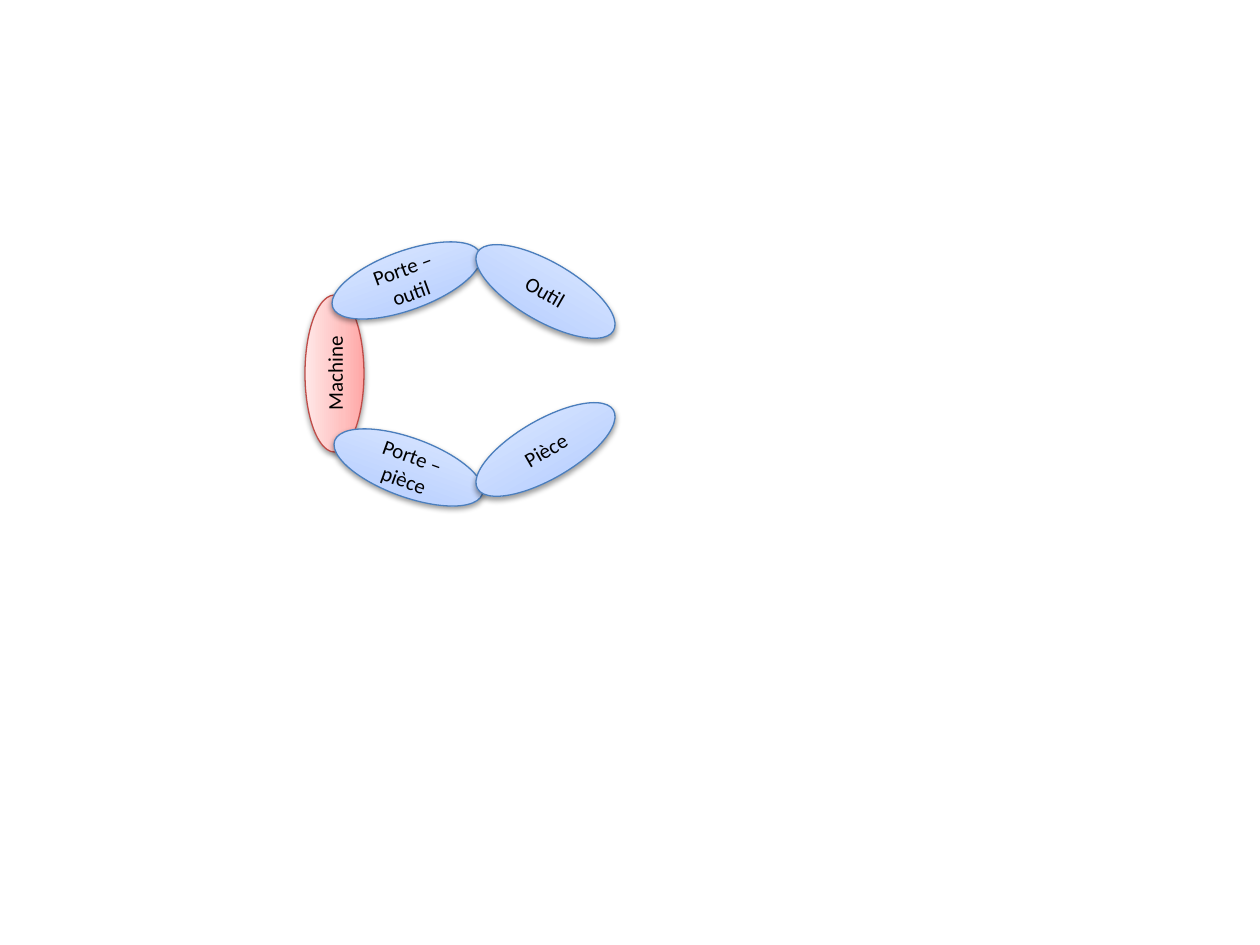
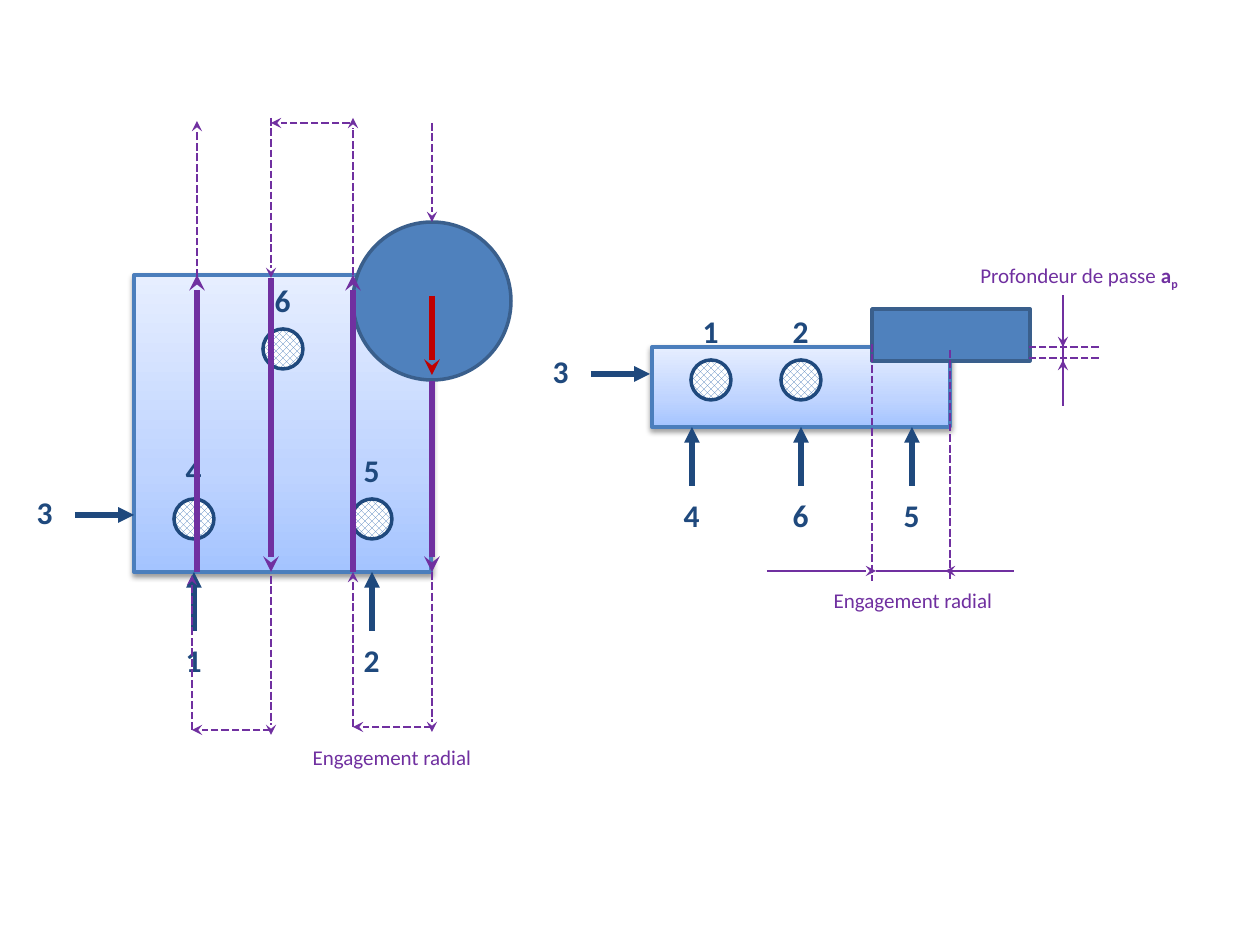
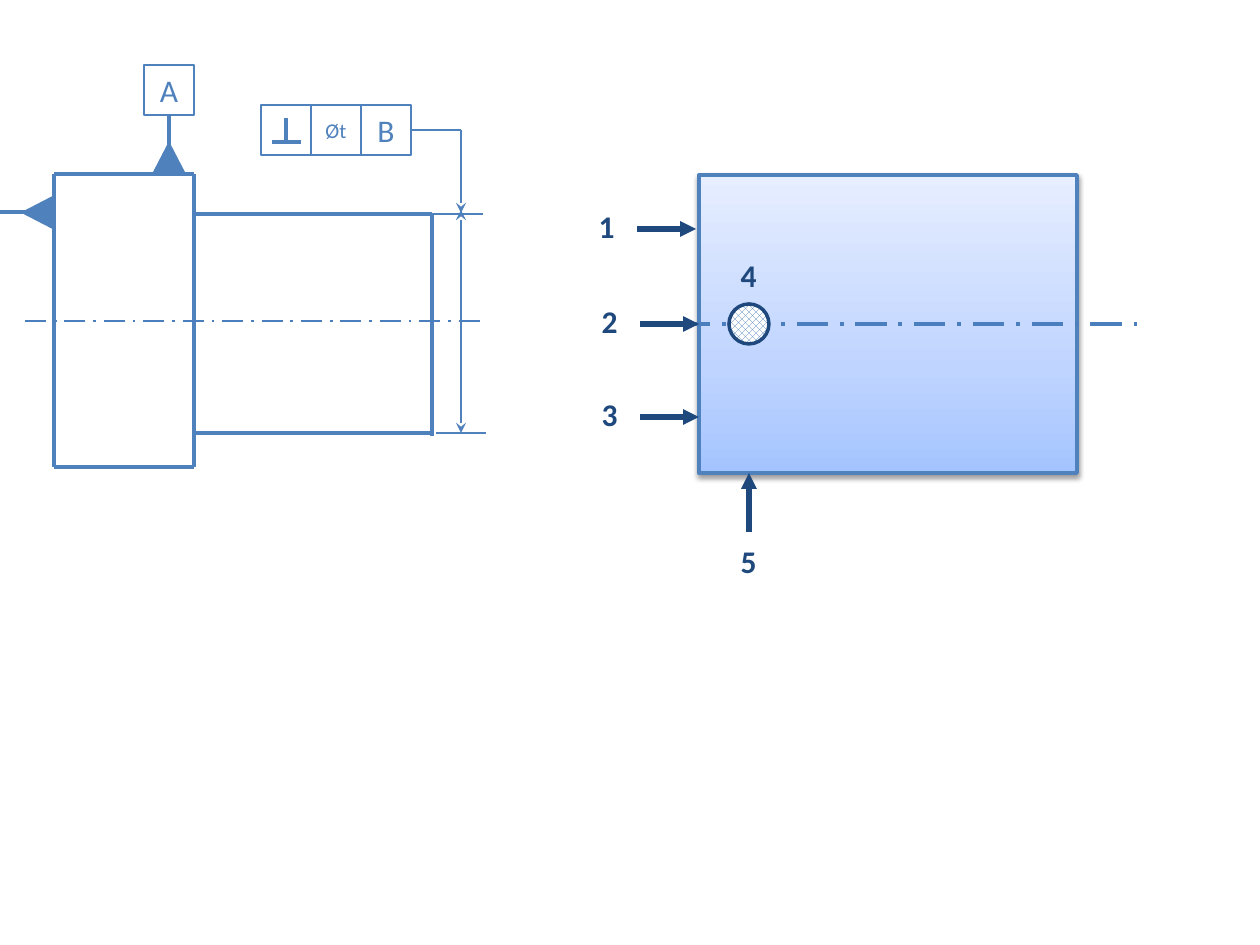
"""Build three machining diagrams: the compliance loop, the milling set-up and the turned part."""
from copy import deepcopy

from lxml import etree
from pptx import Presentation
from pptx.dml.color import RGBColor
from pptx.enum.dml import MSO_LINE, MSO_PATTERN
from pptx.enum.shapes import MSO_CONNECTOR, MSO_SHAPE
from pptx.enum.text import MSO_ANCHOR, MSO_AUTO_SIZE, PP_ALIGN
from pptx.oxml.ns import qn
from pptx.util import Pt

PX = 914400 / 126
OVAL, RECT, TRIANGLE = MSO_SHAPE.OVAL, MSO_SHAPE.RECTANGLE, MSO_SHAPE.ISOSCELES_TRIANGLE
STRAIGHT = MSO_CONNECTOR.STRAIGHT
DASH, AXIS = MSO_LINE.SQUARE_DOT, MSO_LINE.LONG_DASH_DOT
HATCH = MSO_PATTERN.OUTLINED_DIAMOND
CENTER, LEFT = PP_ALIGN.CENTER, PP_ALIGN.LEFT
MIDDLE, GROW = MSO_ANCHOR.MIDDLE, MSO_AUTO_SIZE.SHAPE_TO_FIT_TEXT

COLORS = {
    "black": "000000", "white": "FFFFFF", "blue": "4F81BD", "edge": "4B7EBC",
    "tool_edge": "3A5F8C", "navy": "1F497D", "purple": "7030A0", "red": "C00000",
    "red_edge": "BF4C48",
}
GRADIENTS = {
    "sky": ("A4C4FF", "BFD4FF", "E6EEFF"),
    "rose": ("FFA6A5", "FFC0BF", "FFE7E7"),
}
SHAPES = {
    "machine": ("rose", "red_edge", 0.75),
    "link": ("sky", "edge", 0.75),
    "workpiece": ("sky", "edge", 2.25),
    "stock": ("sky", "blue", 2.25),
    "disc": ("hatch", "navy", 2),
    "tool": ("blue", "tool_edge", 2),
    "datum": ("blue", "blue", 2),
    "frame": (None, "blue", 1.5),
}
LINES = {
    "locator": ("navy", 3, None),
    "cut": ("purple", 3, None),
    "rapid": ("purple", 1.5, DASH),
    "dimension": ("purple", 1.5, None),
    "feed": ("red", 3, None),
    "outline": ("blue", 2.25, None),
    "thin": ("blue", 1, None),
    "axis": ("edge", 1.5, AXIS),
    "stock_axis": ("edge", 2.25, AXIS),
}
TEXTS = {
    "link": ("black", {"size": Pt(12)}),
    "mark": ("navy", {"size": Pt(18), "bold": True}),
    "note": ("purple", {"size": Pt(12)}),
    "note_bold": ("purple", {"size": Pt(12), "bold": True}),
    "letter": ("blue", {"size": Pt(18)}),
    "tolerance": ("blue", {"size": Pt(12)}),
}


def put(s, kind, box, style=None, runs=(), rot=0):
    """Add a preset shape, or a text box when kind is None."""
    x, y, w, h = (round(v * PX) for v in box)
    if kind is None:
        sp = s.shapes.add_textbox(x, y, w, h)
        frame = {"word_wrap": True, "auto_size": GROW}
    else:
        sp = s.shapes.add_shape(kind, x, y, w, h)
        frame = {"word_wrap": True, "vertical_anchor": MIDDLE}
        sp.rotation = rot
        sp.shadow.inherit = False
        fill, edge, width = SHAPES[style]
        sp.line.color.rgb = RGBColor.from_string(COLORS[edge])
        sp.line.width = Pt(width)
        if fill in GRADIENTS:
            sp.fill.gradient()
            sp.fill.gradient_angle = 90
            spPr = sp._element.spPr
            stops = spPr.find(".//" + qn("a:gsLst"))
            stops.insert(1, deepcopy(stops[0]))
            for stop, pos, c in zip(sp.fill.gradient_stops, (0, 0.35, 1), GRADIENTS[fill]):
                stop.position = pos
                stop.color.rgb = RGBColor.from_string(c)
            shadow = etree.SubElement(spPr.find(qn("a:effectLst")), qn("a:outerShdw"),
                                      blurRad="40000", dist="20000", dir="5400000", rotWithShape="0")
            c = etree.SubElement(shadow, qn("a:srgbClr"), val=COLORS["black"])
            etree.SubElement(c, qn("a:alpha"), val="38000")
        elif fill == "hatch":
            sp.fill.patterned()
            sp.fill.pattern = HATCH
            sp.fill.fore_color.rgb = RGBColor.from_string(COLORS["blue"])
            sp.fill.back_color.rgb = RGBColor.from_string(COLORS["white"])
        elif fill:
            sp.fill.solid()
            sp.fill.fore_color.rgb = RGBColor.from_string(COLORS[fill])
        else:
            sp.fill.background()
    if runs:
        tf = sp.text_frame
        for key, val in frame.items():
            setattr(tf, key, val)
        p = tf.paragraphs[0]
        p.alignment = CENTER
        for text, name in runs:
            color, fmt = TEXTS[name]
            r = p.add_run()
            r.text = text
            r.font.color.rgb = RGBColor.from_string(COLORS[color])
            for key, val in {"name": "Calibri", **fmt}.items():
                setattr(r.font, key, val)
    return sp


def draw(s, ends, style, head=None, tail=None):
    """Add a straight connector with optional arrowheads."""
    c = s.shapes.add_connector(STRAIGHT, *(round(v * PX) for v in ends))
    color, width, dash = LINES[style]
    c.line.color.rgb = RGBColor.from_string(COLORS[color])
    c.line.width = Pt(width)
    if dash:
        c.line.dash_style = dash
    spPr = c._element.spPr
    for tag, arrow in (("a:headEnd", head), ("a:tailEnd", tail)):
        if arrow:
            etree.SubElement(spPr.find(qn("a:ln")), qn(tag), type=arrow)
    etree.SubElement(spPr, qn("a:effectLst"))
    return c


prs = Presentation()
prs.slide_width, prs.slide_height = round(1260 * PX), round(945 * PX)
loop, milling, turning = (prs.slides.add_slide(prs.slide_layouts[6]) for _ in range(3))

for text, style, x, y, rot in (
    ("Machine", "machine", 256, 344, 270),
    ("Porte – outil", "link", 328, 251, 340),
    ("Outil", "link", 467, 262, 30),
    ("Porte – pièce", "link", 330, 438, 20),
    ("Pièce", "link", 467, 420, 330),
):
    put(loop, OVAL, (x, y, 157, 59), style, [(text, "link")], rot)

VIEWS = (
    (milling, (134, 275, 297, 297), "workpiece", (), (
        ("up", 194, 572, "1"), ("right", 134, 515, "3"), ("up", 372, 572, "2"),
        ("disc", 194, 519, "4"), ("disc", 372, 519, "5"), ("disc", 283, 349, "6"))),
    (milling, (652, 347, 298, 80), "workpiece", (), (
        ("up", 692, 427, "4"), ("up", 801, 427, "6"), ("up", 912, 427, "5"),
        ("right", 650, 374, "3"), ("disc", 711, 380, "1"), ("disc", 801, 380, "2"))),
    (turning, (699, 175, 378, 298), "stock", ((679, 324, 1137, 324),), (
        ("up", 749, 473, "5"), ("disc", 749, 324, "4"), ("right", 696, 229, "1"),
        ("right", 699, 324, "2"), ("right", 699, 417, "3"))),
)
STARTS = {"up": (0, 59), "right": (-59, 0)}
LABELS = {"up": (-30, 63), "right": (-119, -28), "disc": (-30, -74)}

for s, box, style, axes, marks in VIEWS:
    part = put(s, RECT, box, style)
    left, top, w, h = box
    sites = {(left + w // 2, top + h): 2, (left, top + h // 2): 1}
    for ends in axes:
        draw(s, ends, "stock_axis")
    for kind, x, y, text in marks:
        if kind == "disc":
            put(s, OVAL, (x - 20, y - 20, 40, 40), "disc")
        else:
            dx, dy = STARTS[kind]
            c = draw(s, (x + dx, y + dy, x, y), "locator", tail="triangle")
            if (x, y) in sites:
                c.end_connect(part, sites[x, y])
        dx, dy = LABELS[kind]
        put(s, None, (x + dx, y + dy, 59, 50), runs=[(text, "mark")])

put(milling, OVAL, (353, 222, 158, 158), "tool")
put(milling, RECT, (872, 309, 158, 52), "tool")
for style, tail, paths in (
    ("rapid", "stealth", (
        (432, 572, 432, 732), (432, 727, 353, 727), (353, 727, 353, 572),
        (271, 118, 271, 278), (350, 123, 271, 123), (353, 275, 353, 118),
        (271, 576, 271, 735), (271, 730, 192, 730), (192, 730, 192, 575),
        (197, 277, 197, 121), (432, 123, 432, 222))),
    ("cut", "stealth", (
        (432, 381, 432, 572), (353, 572, 353, 275),
        (271, 278, 271, 572), (197, 572, 197, 275))),
    ("feed", "stealth", ((432, 296, 432, 375),)),
    ("rapid", None, (
        (1099, 358, 1029, 358), (1099, 347, 1029, 347),
        (872, 344, 872, 581), (950, 350, 950, 580))),
    ("dimension", "stealth", (
        (1063, 301, 1063, 347), (1063, 406, 1063, 360),
        (1014, 571, 945, 571), (767, 571, 876, 571))),
    ("dimension", None, ((1063, 383, 1063, 295), (876, 571, 955, 571))),
):
    for ends in paths:
        draw(milling, ends, style, tail=tail)

for x, y in ((767, 581), (246, 738)):
    put(milling, None, (x, y, 292, 38), runs=[("Engagement radial", "note")])
depth = put(milling, None, (968, 256, 292, 38), runs=[
    ("Profondeur de passe ", "note"), ("a", "note_bold"), ("p", "note_bold")])
p = depth.text_frame.paragraphs[0]
p.alignment = LEFT
p.runs[-1]._r.get_or_add_rPr().set("baseline", "-25000")

for style, head, tail, paths in (
    ("outline", None, None, (
        (54, 174, 54, 467), (194, 174, 194, 467), (54, 174, 194, 174),
        (54, 467, 194, 467), (432, 214, 432, 436), (194, 214, 432, 214),
        (194, 433, 432, 433), (0, 212, 25, 212),
        (272, 142, 301, 142), (286, 118, 286, 142))),
    ("axis", None, None, ((25, 321, 481, 321),)),
    ("thin", "stealth", "stealth", ((461, 433, 461, 210),)),
    ("thin", "stealth", None, ((461, 213, 461, 130),)),
    ("thin", None, None, ((483, 214, 432, 214), (486, 433, 436, 433))),
):
    for ends in paths:
        draw(turning, ends, style, head, tail)

for x, y, rot in ((154, 145, 0), (24, 198, 270)):
    put(turning, TRIANGLE, (x, y, 30, 29), "datum", rot=rot)
for x, y, runs, ends, style, site in (
    (144, 65, [("A", "letter")], (169, 145, 169, 115), "outline", 2),
    (361, 105, [("B", "letter")], (461, 130, 411, 130), "thin", 3),
    (311, 105, [("Øt", "tolerance")], None, None, None),
    (261, 105, [], None, None, None),
):
    sp = put(turning, RECT, (x, y, 50, 50), "frame", runs)
    if ends:
        draw(turning, ends, style).end_connect(sp, site)

prs.save("out.pptx")
